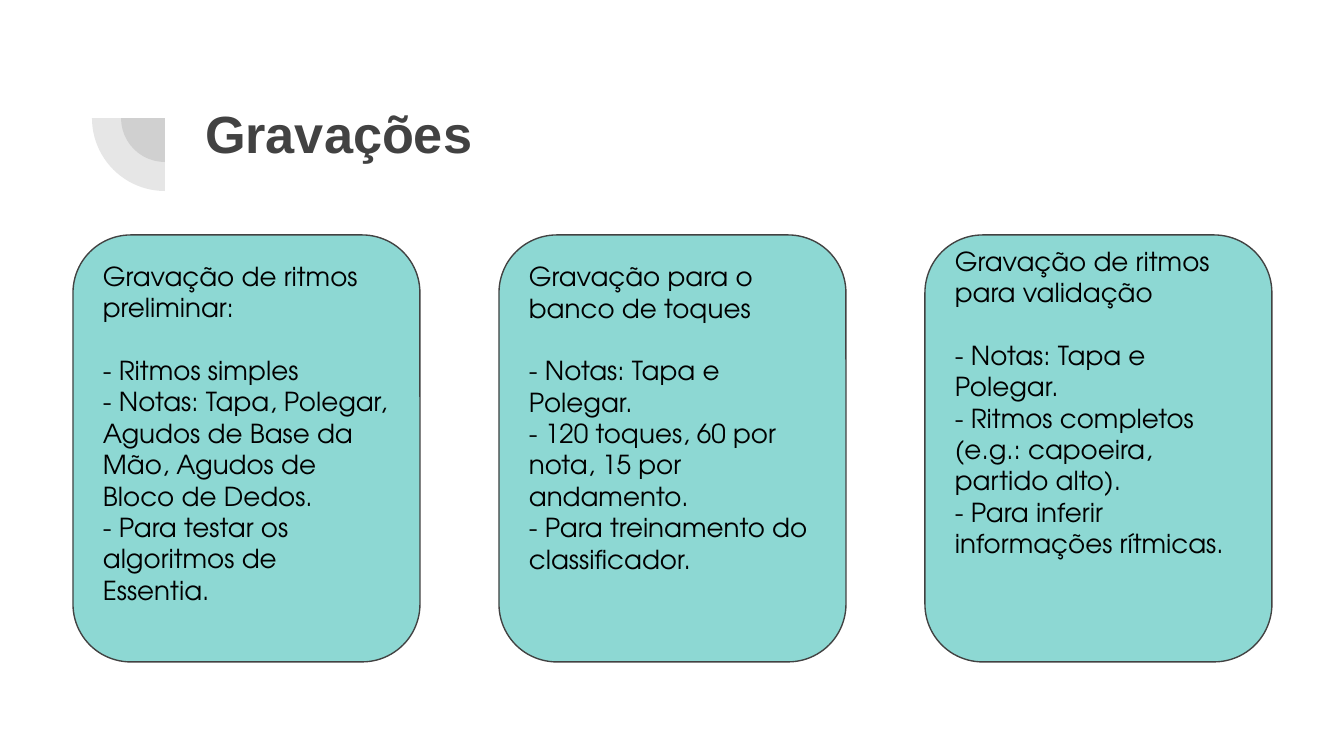
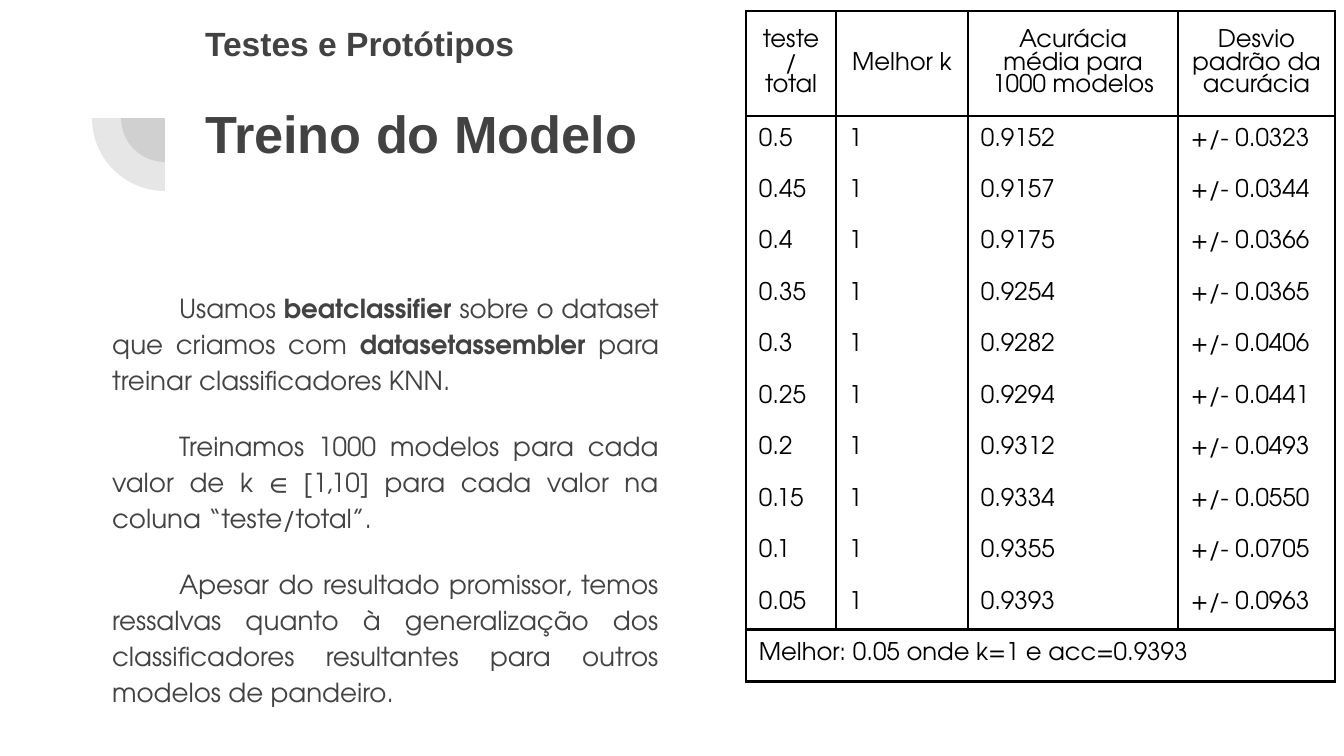
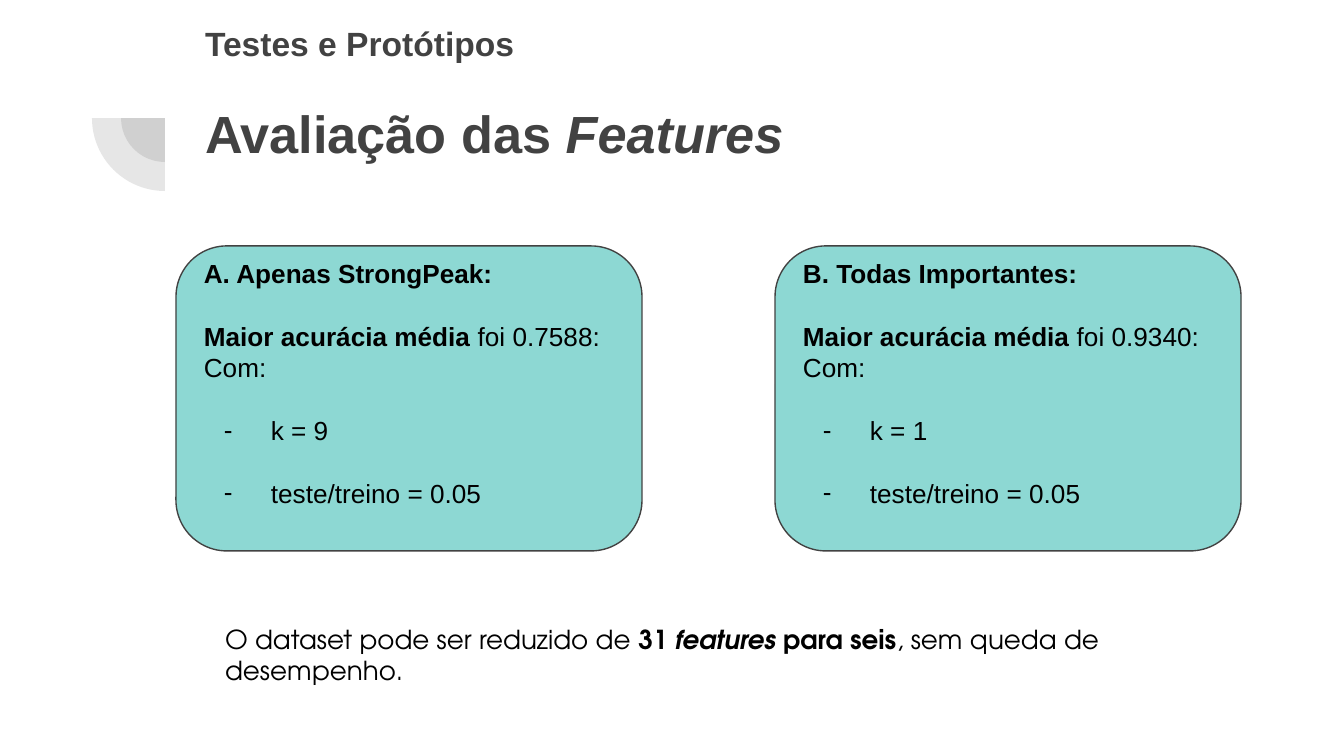
from dataclasses import dataclass
from typing import Any, NamedTuple

from lxml.etree import SubElement
from pptx import Presentation
from pptx.dml.color import RGBColor
from pptx.enum.shapes import MSO_SHAPE
from pptx.enum.text import MSO_ANCHOR, MSO_AUTO_SIZE, PP_ALIGN
from pptx.oxml.ns import qn
from pptx.util import Emu, Pt

EMU_PER_INCH = 914400
PX_PER_INCH = 134.4
INSET = 13
LINE = 31
GAP = Pt(16.8)

INK = "424242"
BLACK = "000000"
MINT = "8DD8D3"
ARIAL = "Arial"
ADVENTOR = "TeX Gyre Adventor"


class Box(NamedTuple):
    left: int
    top: int
    width: int
    height: int


class Run(NamedTuple):
    text: str
    bold: bool = False
    italic: bool = False


class Style(NamedTuple):
    font: str
    size: int
    color: str


@dataclass(frozen=True)
class Para:
    runs: tuple[Run, ...]
    before: int = 0
    after: int = 0
    align: Any = PP_ALIGN.LEFT
    spacing: float = 1.0
    margin: int = 0
    indent: int = 0
    bullet: str = ""


@dataclass(frozen=True)
class Card:
    box: Box
    paras: tuple[Para, ...]
    style: Style
    spare_lines: int


TITLE = Style(ARIAL, 28, INK)
SECTION = Style(ARIAL, 18, INK)
BODY = Style(ADVENTOR, 14, INK)
NOTE = Style(ADVENTOR, 14, BLACK)
RESULT = Style(ARIAL, 14, BLACK)
CELL = Style(ADVENTOR, 13, BLACK)

TITLE_BOX = Box(192, 88, 1033, 146)
SECTION_BOX = Box(192, 10, 720, 78)
PIE_CENTER = (165, 118)
PIE_RADII = (44, 73)

RECORDINGS = (
    (1, "Gravação de ritmos preliminar:", "- Ritmos simples",
     "- Notas: Tapa, Polegar, Agudos de Base da Mão, Agudos de Bloco de Dedos.",
     "- Para testar os algoritmos de Essentia."),
    (2, "Gravação para o banco de toques", "- Notas: Tapa e Polegar.",
     "- 120 toques, 60 por nota, 15 por andamento.",
     "- Para treinamento do classificador."),
    (3, "Gravação de ritmos para validação", "- Notas: Tapa e Polegar.",
     "- Ritmos completos (e.g.: capoeira, partido alto).",
     "- Para inferir informações rítmicas."),
)

TRAINING = (
    (Run("Usamos "), Run("beatclassifier", True),
     Run(" sobre o dataset que criamos com "), Run("datasetassembler", True),
     Run(" para treinar classificadores KNN. ")),
    (Run("Treinamos 1000 modelos para cada valor de k ∈ [1,10] para cada "
         "valor na coluna “teste/total”."),),
    (Run("Apesar do resultado promissor, temos ressalvas quanto à "
         "generalização dos classificadores resultantes para outros modelos "
         "de pandeiro."),),
)

HEADINGS = ("teste/total", "Melhor k", "Acurácia média para 1000 modelos",
            "Desvio padrão da acurácia")
ACCURACIES = (
    ("0.5", "0.9152", "0.0323"),
    ("0.45", "0.9157", "0.0344"),
    ("0.4", "0.9175", "0.0366"),
    ("0.35", "0.9254", "0.0365"),
    ("0.3", "0.9282", "0.0406"),
    ("0.25", "0.9294", "0.0441"),
    ("0.2", "0.9312", "0.0493"),
    ("0.15", "0.9334", "0.0550"),
    ("0.1", "0.9355", "0.0705"),
    ("0.05", "0.9393", "0.0963"),
)
BEST = "Melhor: 0.05 onde k=1 e acc=0.9393"
COLUMN_WIDTHS = (90, 132, 210, 157)
HEADING_HEIGHT = 105
ROWS_HEIGHT = 566

FEATURE_SETS = (
    ("A. Apenas StrongPeak:", "0.7588", "9"),
    ("B. Todas Importantes:", "0.9340", "1"),
)
CONCLUSION = (
    Run("O dataset pode ser reduzido de "), Run("31 ", True),
    Run("features", True, True), Run(" para seis", True),
    Run(", sem queda de desempenho."),
)


def px(length: int) -> Emu:
    return Emu(round(length * EMU_PER_INCH / PX_PER_INCH))


def place(box: Box) -> tuple[Emu, ...]:
    return tuple(px(length) for length in box)


def rgb(color: str) -> RGBColor:
    return RGBColor.from_string(color)


def apply(target: Any, values: dict[str, Any]) -> None:
    for name, value in values.items():
        setattr(target, name, value)


def write(frame: Any, paras: tuple[Para, ...], style: Style) -> None:
    for number, para in enumerate(paras):
        paragraph = frame.add_paragraph() if number else frame.paragraphs[0]
        apply(paragraph, {
            "alignment": para.align,
            "line_spacing": para.spacing,
            "space_before": para.before,
            "space_after": para.after,
        })
        properties = paragraph._p.get_or_add_pPr()
        properties.set("marL", str(px(para.margin)))
        properties.set("indent", str(px(para.indent)))
        if para.bullet:
            bullet_color = SubElement(properties, qn("a:buClr"))
            SubElement(bullet_color, qn("a:srgbClr"), val=style.color)
            SubElement(properties, qn("a:buFont"), typeface=style.font)
            SubElement(properties, qn("a:buChar"), char=para.bullet)
        for part in para.runs:
            run = paragraph.add_run()
            run.text = part.text
            apply(run.font, {
                "name": style.font,
                "size": Pt(style.size),
                "bold": part.bold,
                "italic": part.italic,
            })
            run.font.color.rgb = rgb(style.color)


def fill_frame(frame: Any, paras: tuple[Para, ...], style: Style,
               anchor: Any = MSO_ANCHOR.TOP, spare: int = 0) -> None:
    apply(frame, {
        "word_wrap": True,
        "auto_size": MSO_AUTO_SIZE.NONE,
        "vertical_anchor": anchor,
        "margin_left": px(INSET),
        "margin_top": px(INSET),
        "margin_right": px(INSET),
        "margin_bottom": px(INSET + spare),
    })
    write(frame, paras, style)


def add_text(slide: Any, box: Box, paras: tuple[Para, ...],
             style: Style) -> None:
    fill_frame(slide.shapes.add_textbox(*place(box)).text_frame, paras, style)


def add_emblem(slide: Any) -> None:
    emblem = slide.shapes.add_group_shape()
    center_x, center_y = PIE_CENTER
    for radius in PIE_RADII:
        box = Box(center_x - radius, center_y - radius, 2 * radius, 2 * radius)
        quarter = emblem.shapes.add_shape(MSO_SHAPE.PIE, *place(box))
        quarter.rotation = 270
        quarter.adjustments[0] = 108
        quarter.adjustments[1] = 162
        quarter.shadow.inherit = False
        quarter.fill.solid()
        quarter.fill.fore_color.rgb = rgb(INK)
        tint = quarter._element.spPr.find(".//" + qn("a:srgbClr"))
        SubElement(tint, qn("a:alpha"), val="13000")
        quarter.line.fill.background()


def add_titled_slide(deck: Any, *title: Run, section: str = "") -> Any:
    slide = deck.slides.add_slide(deck.slide_layouts[5])
    add_emblem(slide)
    heading = slide.shapes.title
    apply(heading, dict(zip(Box._fields, place(TITLE_BOX))))
    fill_frame(heading.text_frame, (Para(title),), TITLE)
    if section:
        add_text(slide, SECTION_BOX, (Para((Run(section, True),)),), SECTION)
    return slide


def add_card(slide: Any, card: Card) -> None:
    panel = slide.shapes.add_shape(MSO_SHAPE.ROUNDED_RECTANGLE,
                                   *place(card.box))
    panel.shadow.inherit = False
    panel.fill.solid()
    panel.fill.fore_color.rgb = rgb(MINT)
    panel.line.color.rgb = rgb(INK)
    panel.line.width = Pt(0.75)
    fill_frame(panel.text_frame, card.paras, card.style, MSO_ANCHOR.MIDDLE,
               card.spare_lines * LINE)


def add_borders(cell: Any, sides: str) -> None:
    properties = cell._tc.get_or_add_tcPr()
    for side in "LRTB":
        border = SubElement(properties, qn(f"a:ln{side}"),
                            w=str(Pt(1.5)))
        if side in sides:
            paint = SubElement(border, qn("a:solidFill"))
            SubElement(paint, qn("a:srgbClr"), val=BLACK)
        else:
            SubElement(border, qn("a:noFill"))


def add_accuracy_table(slide: Any) -> None:
    rows = [HEADINGS]
    rows += [(ratio, "1", mean, f"+/- {deviation}")
             for ratio, mean, deviation in ACCURACIES]
    rows.append((BEST, "", "", ""))
    last = len(rows) - 1
    box = Box(746, 11, sum(COLUMN_WIDTHS), HEADING_HEIGHT + ROWS_HEIGHT)
    table = slide.shapes.add_table(len(rows), len(HEADINGS),
                                   *place(box)).table
    apply(table, {"first_row": False, "horz_banding": False})
    for column, width in zip(table.columns, COLUMN_WIDTHS):
        column.width = px(width)
    table.cell(last, 0).merge(table.cell(last, len(HEADINGS) - 1))
    border_sides = {0: "LRTB", 1: "LRT", last - 1: "LRB", last: "LRTB"}
    for number, texts in enumerate(rows):
        edges = [ROWS_HEIGHT * step // last for step in (number - 1, number)]
        table.rows[number].height = px(edges[1] - edges[0] if number
                                       else HEADING_HEIGHT)
        for column, text in enumerate(texts):
            cell = table.cell(number, column)
            apply(cell, {
                "margin_left": px(INSET),
                "margin_top": px(INSET),
                "margin_right": px(INSET),
                "margin_bottom": px(INSET),
                "vertical_anchor": MSO_ANCHOR.TOP if number
                else MSO_ANCHOR.MIDDLE,
            })
            add_borders(cell, border_sides.get(number, "LR"))
            cell.fill.background()
            if text:
                align = PP_ALIGN.LEFT if number else PP_ALIGN.CENTER
                write(cell.text_frame, (Para((Run(text),), align=align),),
                      CELL)


def build_recordings(deck: Any) -> None:
    slide = add_titled_slide(deck, Run("Gravações", True))
    for number, (spare, heading, first, *others) in enumerate(RECORDINGS):
        paras = (Para((Run(heading),)), Para((Run(first),), before=GAP),
                 *(Para((Run(item),)) for item in others))
        box = Box(73 + 426 * number, 235, 347, 427)
        add_card(slide, Card(box, paras, NOTE, spare))


def build_training(deck: Any) -> None:
    slide = add_titled_slide(deck, Run("Treino do Modelo", True),
                             section="Testes e Protótipos")
    paras = tuple(
        Para(runs, before=Pt(16) if number else 0, align=PP_ALIGN.JUSTIFY,
             spacing=1.15, indent=67)
        for number, runs in enumerate(TRAINING))
    add_text(slide, Box(99, 275, 573, 441), paras, BODY)
    add_accuracy_table(slide)


def build_evaluation(deck: Any) -> None:
    slide = add_titled_slide(deck, Run("Avaliação das ", True),
                             Run("Features", True, True),
                             section="Testes e Protótipos")
    for number, (heading, accuracy, k) in enumerate(FEATURE_SETS):
        settings = (f"k = {k}", "teste/treino = 0.05")
        paras = (
            Para((Run(heading, True),)),
            Para((Run("Maior acurácia média", True),
                  Run(f" foi {accuracy}:")), before=GAP),
            Para((Run("Com:"),)),
            *(Para((Run(setting),), before=GAP, margin=67, indent=-47,
                   bullet="-") for setting in settings),
        )
        box = Box(176 + 599 * number, 246, 466, 305)
        add_card(slide, Card(box, paras, RESULT, 1))
    add_text(slide, Box(212, 610, 993, 67), (Para(CONCLUSION),), NOTE)


def main() -> None:
    deck = Presentation()
    deck.slide_width = px(1344)
    deck.slide_height = px(756)
    for build in (build_recordings, build_training, build_evaluation):
        build(deck)
    deck.save("out.pptx")


if __name__ == "__main__":
    main()
